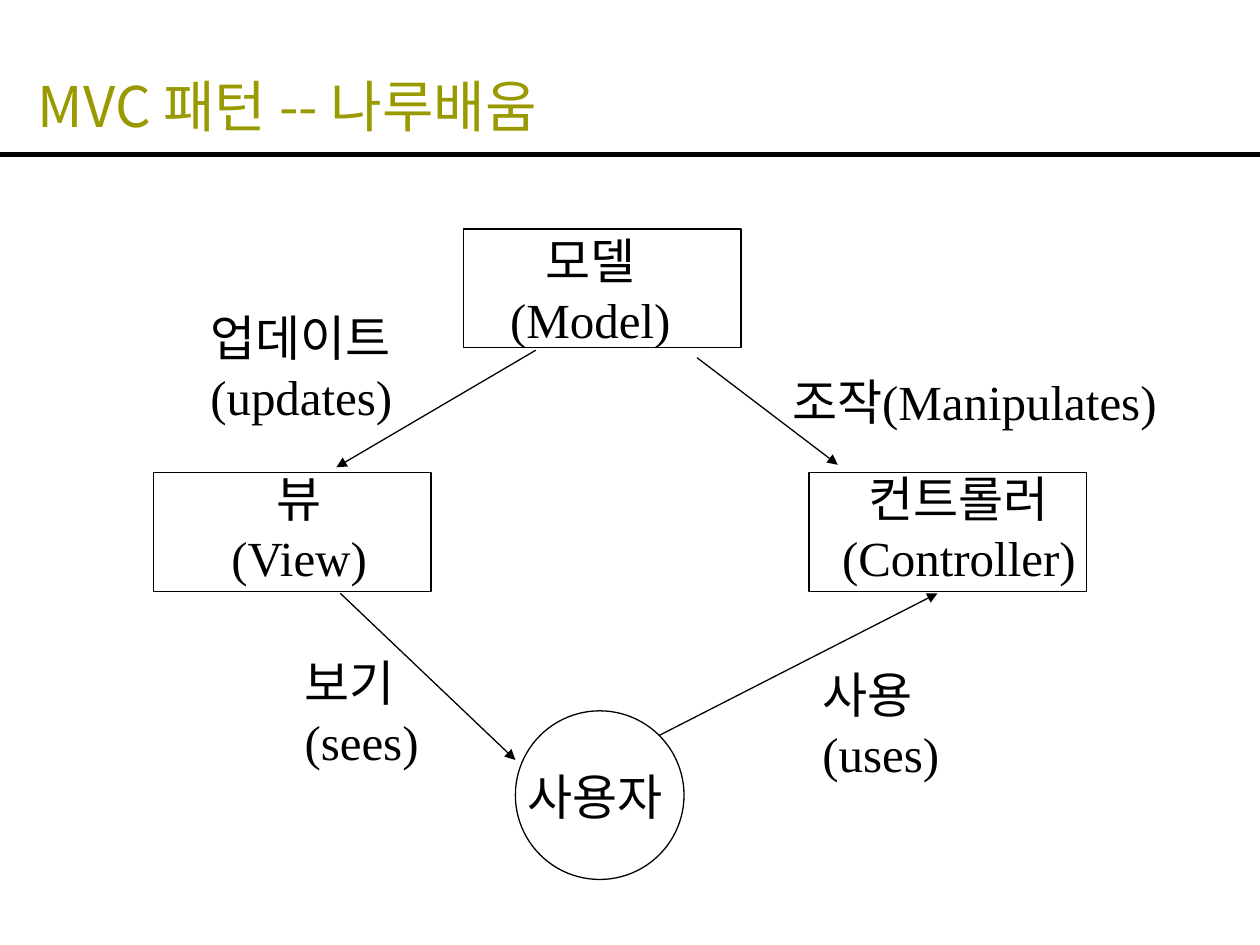
from dataclasses import dataclass

from lxml import etree
from pptx import Presentation
from pptx.dml.color import RGBColor
from pptx.enum import shapes, text
from pptx.oxml.ns import qn
from pptx.util import Cm, Pt


@dataclass(frozen=True)
class Theme:
    ink: RGBColor = RGBColor(0, 0, 0)
    accent: RGBColor = RGBColor(0x99, 0x99, 0)
    latin: str = "Times New Roman"
    korean: str = "Noto Sans CJK KR"
    title_size: float = 32
    body_size: float = 28
    thin: float = 0.75
    thick: float = 3


@dataclass(frozen=True)
class Box:
    """A rectangle in centimetres."""
    x: float
    y: float
    w: float
    h: float

    def lengths(self) -> tuple:
        return Cm(self.x), Cm(self.y), Cm(self.w), Cm(self.h)


@dataclass(frozen=True)
class Label:
    lines: tuple
    box: Box
    align: text.PP_ALIGN = text.PP_ALIGN.LEFT


@dataclass(frozen=True)
class Node:
    kind: shapes.MSO_SHAPE
    box: Box
    label: Label


@dataclass(frozen=True)
class Arrow:
    start: tuple
    end: tuple


T = Theme()
RECT, OVAL = shapes.MSO_SHAPE.RECTANGLE, shapes.MSO_SHAPE.OVAL
LEFT, CENTER = text.PP_ALIGN.LEFT, text.PP_ALIGN.CENTER
BOX_W, BOX_H = 5.59, 2.39
ONE_LINE, TWO_LINES = 1.45, 2.64

NODES = (
    Node(OVAL, Box(10.39, 14.33, 3.4, 3.4),
         Label(("사용자",), Box(10.39, 15.32, 3.51, ONE_LINE))),
    Node(RECT, Box(16.31, 9.53, BOX_W, BOX_H),
         Label(("컨트롤러", "(Controller)"), Box(16.69, 9.32, 5.28, TWO_LINES), CENTER)),
    Node(RECT, Box(3.1, 9.53, BOX_W, BOX_H),
         Label(("뷰", "(View)"), Box(4.39, 9.32, 3.28, TWO_LINES), CENTER)),
    Node(RECT, Box(9.35, 4.62, BOX_W, BOX_H),
         Label(("모델", "(Model)"), Box(10.01, 4.52, 3.78, TWO_LINES), CENTER)),
)
LABELS = (
    Label(("조작(Manipulates)",), Box(15.72, 7.37, 8.1, ONE_LINE)),
    Label(("업데이트", "(updates)"), Box(3.99, 6.07, 4.5, TWO_LINES)),
    Label(("보기", "(sees)"), Box(5.89, 13.03, 2.84, TWO_LINES)),
    Label(("사용", "(uses)"), Box(16.33, 13.28, 2.9, TWO_LINES)),
)
ARROWS = (
    Arrow((6.86, 11.96), (10.39, 15.32)),   # view to user
    Arrow((10.8, 7.06), (6.78, 9.42)),      # model to view
    Arrow((14.05, 7.21), (16.89, 9.37)),    # model to controller
    Arrow((13.28, 14.83), (18.9, 11.96)),   # user to controller
)


def write(tf, lines: tuple, *, size: float = T.body_size, font: str = T.latin,
          color: RGBColor = T.ink, align=LEFT) -> None:
    """Fill a text frame, one paragraph a line."""
    for i, line in enumerate(lines):
        p = tf.paragraphs[0] if i == 0 else tf.add_paragraph()
        p.alignment = align
        r = p.add_run()
        r.text = line
        r.font.size, r.font.name = Pt(size), font
        r.font.color.rgb = color
        ea = etree.SubElement(r.font._element, qn("a:ea"))
        ea.set("typeface", T.korean)


def add_label(s, label: Label) -> None:
    tf = s.shapes.add_textbox(*label.box.lengths()).text_frame
    tf.word_wrap = False
    tf.auto_size = text.MSO_AUTO_SIZE.SHAPE_TO_FIT_TEXT
    write(tf, label.lines, align=label.align)


def add_node(s, node: Node) -> None:
    sp = s.shapes.add_shape(node.kind, *node.box.lengths())
    sp.shadow.inherit = False
    sp.fill.background()
    sp.line.color.rgb, sp.line.width = T.ink, Pt(T.thin)
    add_label(s, node.label)


def add_line(s, start: tuple, end: tuple, width: float, arrow: bool = False) -> None:
    ends = [Cm(v) for v in (*start, *end)]
    c = s.shapes.add_connector(shapes.MSO_CONNECTOR.STRAIGHT, *ends)
    c.line.color.rgb, c.line.width = T.ink, Pt(width)
    if arrow:
        tip = etree.SubElement(c.line._get_or_add_ln(), qn("a:tailEnd"))
        tip.set("type", "triangle")
    etree.SubElement(c._element.spPr, qn("a:effectLst"))


def main() -> None:
    prs = Presentation()
    prs.slide_width, prs.slide_height = Cm(25.4), Cm(19.05)
    s = prs.slides.add_slide(prs.slide_layouts[5])

    # Title and rule
    title = s.shapes.title
    title.left, title.top, title.width, title.height = Box(0.51, 0.76, 24.41, 2.16).lengths()
    title.text_frame.vertical_anchor = text.MSO_ANCHOR.BOTTOM
    write(title.text_frame, ("MVC 패턴 -- 나루배움",), size=T.title_size,
          font=T.korean, color=T.accent)
    add_line(s, (0, 3.12), (25.4, 3.12), T.thick)

    # Pattern diagram
    for node in NODES:
        add_node(s, node)
    for arrow in ARROWS:
        add_line(s, arrow.start, arrow.end, T.thin, arrow=True)
    for label in LABELS:
        add_label(s, label)

    prs.save("out.pptx")


if __name__ == "__main__":
    main()
